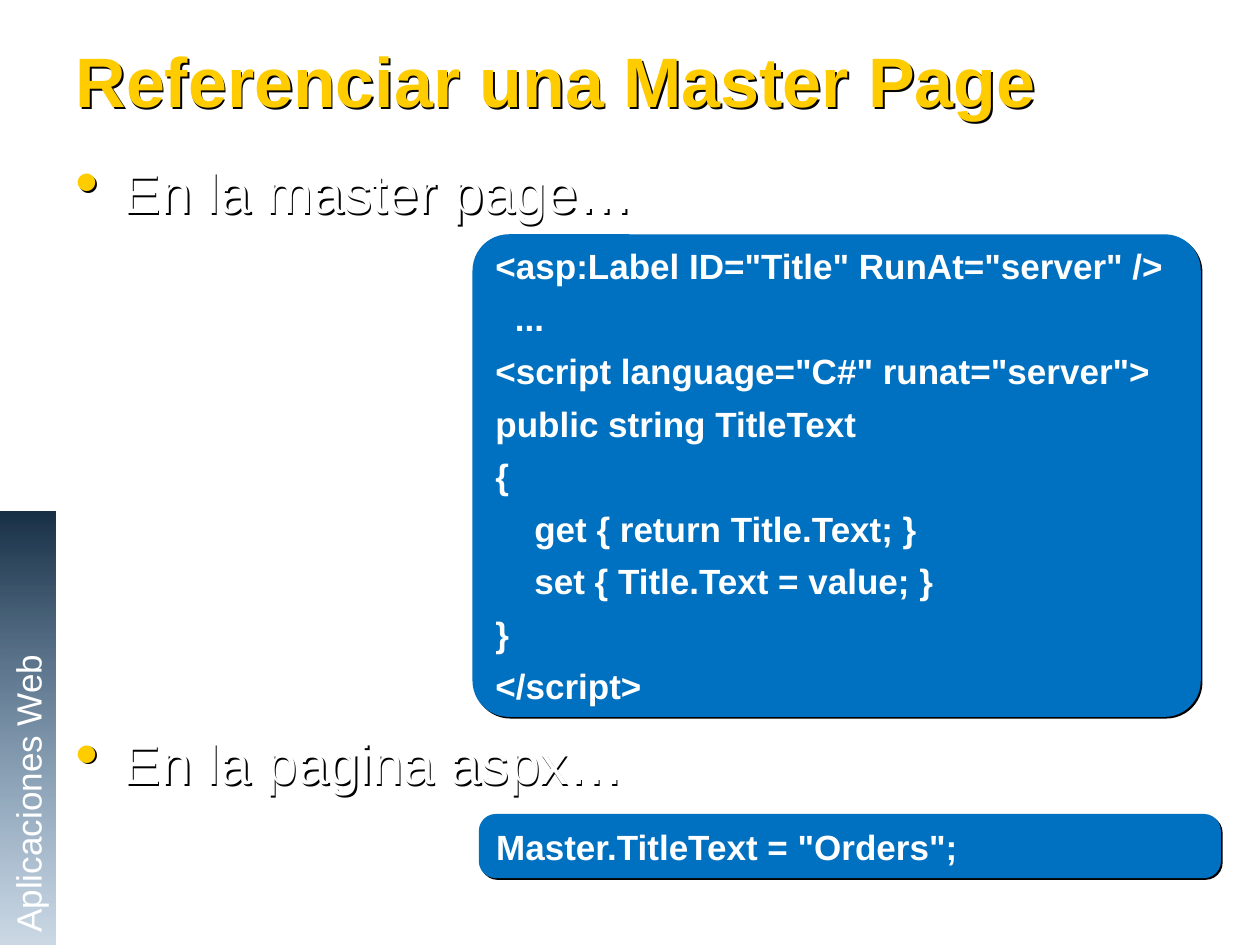
import pptx
import pptx.util
import pptx.oxml
import pptx.oxml.ns
import pptx.dml.color
import pptx.enum.shapes
import pptx.enum.text
from lxml import etree

Inches, Pt = pptx.util.Inches, pptx.util.Pt
RGB = pptx.dml.color.RGBColor.from_string
qn = pptx.oxml.ns.qn
MSO = pptx.enum.shapes.MSO_SHAPE
ANCHOR = pptx.enum.text.MSO_ANCHOR
ALIGN = pptx.enum.text.PP_ALIGN

COLORS = {"gold": "FFCC00", "white": "FFFFFF", "blue": "0070C0",
          "black": "000000", "navy": "183046", "steel": "346898"}


def style(para, size, color, bold=False):
    para.alignment = ALIGN.LEFT
    para.font.name = "Arial"
    para.font.size = Pt(size)
    para.font.bold = bold
    para.font.color.rgb = RGB(COLORS[color])


def shade(shape):
    props = shape._element.spPr
    for old in props.findall(qn("a:effectLst")):
        props.remove(old)
    effect = etree.SubElement(props, qn("a:effectLst"))
    cast = etree.SubElement(effect, qn("a:outerShdw"), dist=str(Pt(1.4)),
                            dir="2700000", algn="ctr", rotWithShape="0")
    etree.SubElement(cast, qn("a:srgbClr"), val=COLORS["black"])


deck = pptx.Presentation()
deck.slide_width, deck.slide_height = Inches(10), Inches(7.5)
slide = deck.slides.add_slide(deck.slide_layouts[5])

# Title
title = slide.shapes.title
title.left, title.top = Inches(0.5), Inches(0.21)
title.width, title.height = Inches(9.38), Inches(0.85)
title.text_frame.text = "Referenciar una Master Page"
title.text_frame.vertical_anchor = ANCHOR.MIDDLE
style(title.text_frame.paragraphs[0], 40, "gold", True)
shade(title)

# Side label
side = slide.shapes.add_shape(MSO.RECTANGLE, Inches(-1.5), Inches(5.56),
                              Inches(3.44), Inches(0.44))
side.rotation = 270
side.shadow.inherit = False
side.line.fill.background()
side.fill.gradient()
side.fill.gradient_angle = 180
for stop, color in zip(side.fill.gradient_stops, ("navy", "steel")):
    stop.color.rgb = RGB(COLORS[color])
light = side._element.spPr.findall(".//" + qn("a:srgbClr"))[-1]
etree.SubElement(light, qn("a:alpha"), val="25000")
side.text_frame.text = "Aplicaciones Web"
style(side.text_frame.paragraphs[0], 20, "white")

# Bullets, spaced to leave room for the code
box = slide.shapes.add_textbox(Inches(0.5), Inches(1.2), Inches(4.89), Inches(5.33))
frame = box.text_frame
frame.word_wrap = True
frame.text = "En la master page…\nEn la pagina aspx…"
for para, gap in zip(frame.paragraphs, (0, 288)):
    props = para._p.get_or_add_pPr()
    props.set("marL", str(Inches(0.38)))
    props.set("indent", str(Inches(-0.38)))
    para.space_before = Pt(gap)
    tint = etree.SubElement(props, qn("a:buClr"))
    etree.SubElement(tint, qn("a:srgbClr"), val=COLORS["gold"])
    etree.SubElement(props, qn("a:buSzPct"), val="120000")
    etree.SubElement(props, qn("a:buChar"), char="•")
    style(para, 32, "white")
shade(box)

# Code panels
master = """<asp:Label ID="Title" RunAt="server" />
  ...
<script language="C#" runat="server">
public string TitleText
{
    get { return Title.Text; }
    set { Title.Text = value; }
}
</script>"""
panels = [(3.75, 1.86, 5.78, 3.83, 0.075, master),
          (3.8, 6.46, 5.89, 0.51, 0.266, 'Master.TitleText = "Orders";')]
for left, top, width, height, curve, code in panels:
    panel = slide.shapes.add_shape(MSO.ROUNDED_RECTANGLE, Inches(left), Inches(top),
                                   Inches(width), Inches(height))
    panel.adjustments[0] = curve
    panel.fill.solid()
    panel.fill.fore_color.rgb = RGB(COLORS["blue"])
    panel.line.fill.background()
    shade(panel)
    panel.text_frame.word_wrap = True
    panel.text_frame.vertical_anchor = ANCHOR.MIDDLE
    panel.text_frame.text = code
    for row, para in enumerate(panel.text_frame.paragraphs):
        para.space_before = Pt(6 if row else 0)
        style(para, 20, "white", True)

deck.save("out.pptx")
